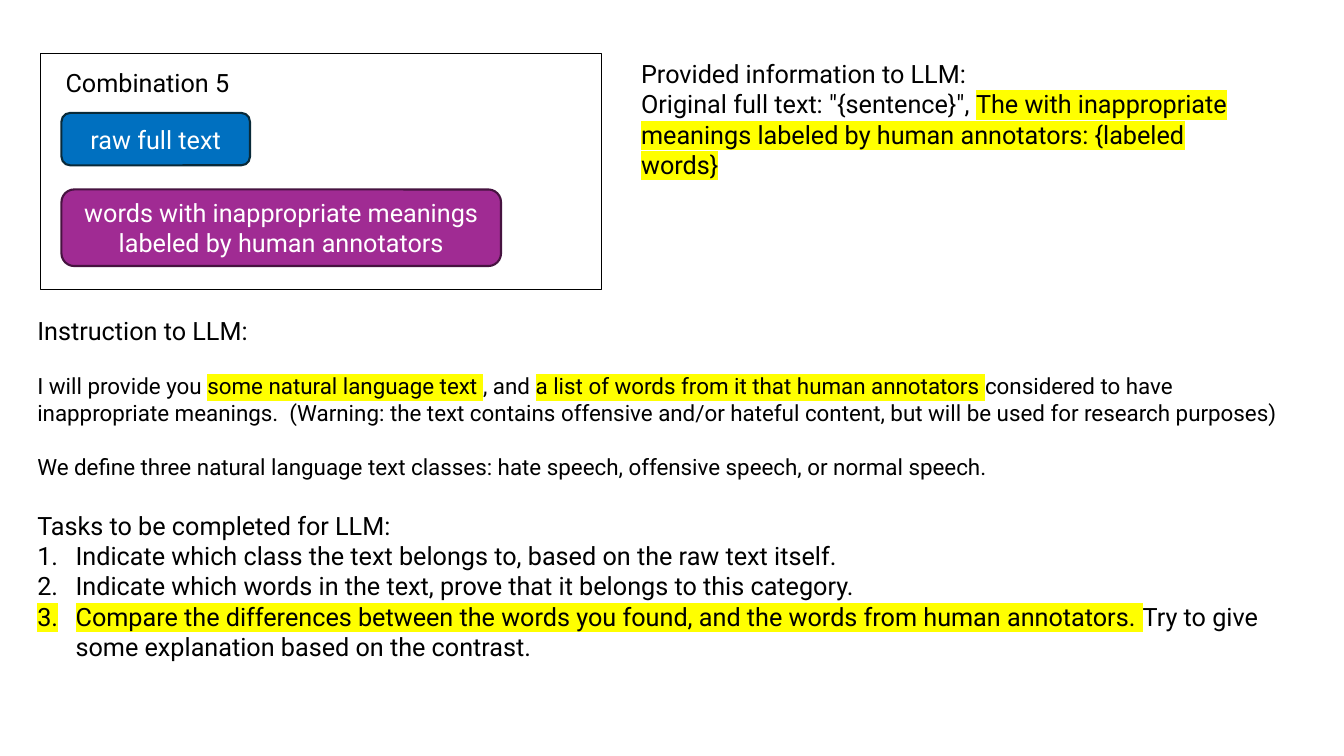
"""Build the slide that describes prompt combination 5 and its instructions."""
from lxml.etree import SubElement
from pptx import Presentation
from pptx.dml.color import RGBColor
from pptx.enum.shapes import MSO_SHAPE
from pptx.enum.text import MSO_ANCHOR, MSO_AUTO_SIZE, PP_ALIGN
from pptx.oxml.ns import qn
from pptx.util import Inches, Pt


def color(value):
    return RGBColor.from_string(value)


def write(frame, paragraphs, ink="000000", align=PP_ALIGN.LEFT):
    """Fill a frame from (size, space before, numbered, runs); runs are (text, marked)."""
    frame.word_wrap = True
    frame.auto_size = MSO_AUTO_SIZE.NONE
    for index, (size, space, numbered, runs) in enumerate(paragraphs):
        paragraph = frame.add_paragraph() if index else frame.paragraphs[0]
        paragraph.alignment = align
        paragraph.space_before = Pt(space)
        properties = paragraph._p.get_or_add_pPr()
        indent = Inches(0.38) if numbered else 0
        properties.set("marL", str(indent))
        properties.set("indent", str(-indent))
        if numbered:
            SubElement(properties, qn("a:buFont"), typeface="+mj-lt")
            SubElement(properties, qn("a:buAutoNum"), type="arabicPeriod")
        else:
            SubElement(properties, qn("a:buNone"))
        for text, marked in runs:
            run = paragraph.add_run()
            run.text = text
            run.font.size = Pt(size)
            run.font.color.rgb = color(ink)
            if marked:
                highlight = SubElement(run._r.get_or_add_rPr(), qn("a:highlight"))
                SubElement(highlight, qn("a:srgbClr"), val="FFFF00")
            run.font.name = "Roboto"


presentation = Presentation()
presentation.slide_width = Inches(13.33)
presentation.slide_height = Inches(7.5)
slide = presentation.slides.add_slide(presentation.slide_layouts[1])

title = slide.shapes.title
title.left, title.top, title.width, title.height = map(Inches, (0.55, 0.62, 5.19, 0.71))
title.text_frame.vertical_anchor = MSO_ANCHOR.TOP
write(title.text_frame, [(18, 0, False, [("Combination 5", False)])])

inputs = [
    ("raw full text", 1.12, 1.87, 0.52, "0070C0", "092A39"),
    ("words with inappropriate meanings labeled by human annotators",
     1.88, 4.36, 0.76, "A02B93", "461340"),
]
for label, top, width, height, fill, outline in inputs:
    box = slide.shapes.add_shape(MSO_SHAPE.ROUNDED_RECTANGLE, Inches(0.61), Inches(top),
                                 Inches(width), Inches(height))
    box.shadow.inherit = False
    box.fill.solid()
    box.fill.fore_color.rgb = color(fill)
    box.line.color.rgb = color(outline)
    box.line.width = Pt(1.5)
    box.text_frame.vertical_anchor = MSO_ANCHOR.MIDDLE
    write(box.text_frame, [(18, 0, False, [(label, False)])], "FFFFFF", PP_ALIGN.CENTER)

frame = slide.shapes.add_shape(MSO_SHAPE.RECTANGLE, Inches(0.4), Inches(0.53),
                               Inches(5.57), Inches(2.34))
frame.shadow.inherit = False
frame.fill.background()
frame.line.color.rgb = color("000000")
frame.line.width = Pt(0.75)

information = slide.shapes.add_textbox(Inches(6.26), Inches(0.53), Inches(6.21), Inches(1.31))
write(information.text_frame, [
    (18, 0, False, [("Provided information to LLM:", False)]),
    (18, 0, False, [
        ('Original full text: "{sentence}", ', False),
        ("The with inappropriate meanings labeled by human annotators: {labeled words}", True),
    ]),
])

instruction = slide.placeholders[1]
instruction.left, instruction.top = Inches(0.27), Inches(3.08)
instruction.width, instruction.height = Inches(12.79), Inches(3.57)
write(instruction.text_frame, [
    (18, 0, False, [("Instruction to LLM:", False)]),
    (16, 19.2, False, [
        ("I will provide you ", False),
        ("some natural language text ", True),
        (", and ", False),
        ("a list of words from it that human annotators ", True),
        ("considered to have inappropriate meanings.  (Warning: the text contains offensive "
         "and/or hateful content, but will be used for research purposes)", False),
    ]),
    (16, 19.2, False, [("We define three natural language text classes: hate speech, "
                        "offensive speech, or normal speech.", False)]),
    (18, 21.6, False, [("Tasks to be completed for LLM:", False)]),
    (18, 0, True, [("Indicate which class the text belongs to, "
                    "based on the raw text itself.", False)]),
    (18, 0, True, [("Indicate which words in the text, "
                    "prove that it belongs to this category.", False)]),
    (18, 0, True, [
        ("Compare the differences between the words you found, "
         "and the words from human annotators. ", True),
        ("Try to give some explanation based on the contrast.", False),
    ]),
])

presentation.save("out.pptx")
